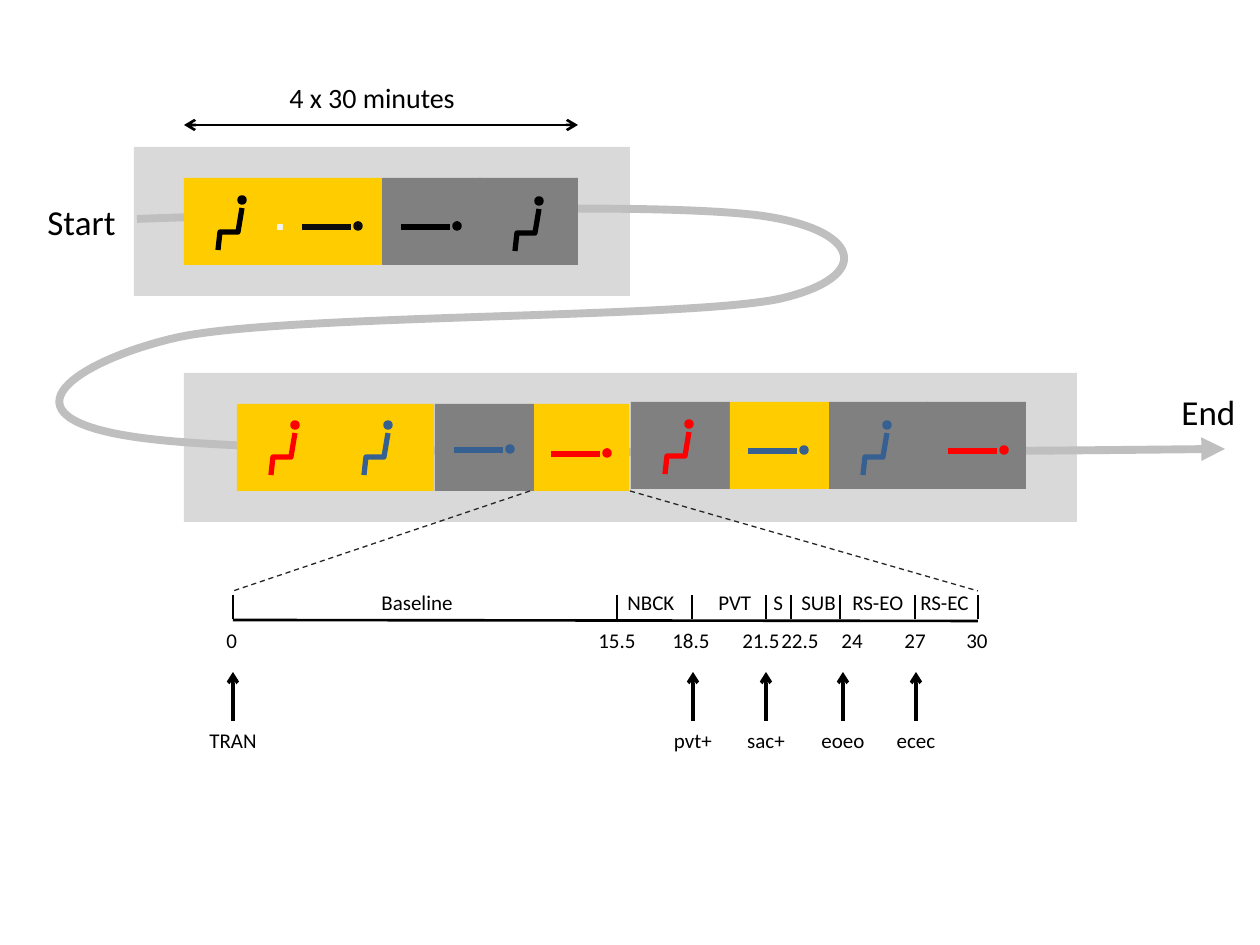
from lxml import etree
from pptx import Presentation
from pptx.dml.color import RGBColor
from pptx.enum.dml import MSO_LINE
from pptx.enum.shapes import MSO_CONNECTOR, MSO_SHAPE
from pptx.enum.text import MSO_AUTO_SIZE, PP_ALIGN
from pptx.oxml.ns import qn
from pptx.util import Pt

RECTANGLE, OVAL = MSO_SHAPE.RECTANGLE, MSO_SHAPE.OVAL
STRAIGHT = MSO_CONNECTOR.STRAIGHT
DASH = MSO_LINE.DASH
FIT_TEXT = MSO_AUTO_SIZE.SHAPE_TO_FIT_TEXT
CENTER = PP_ALIGN.CENTER

SCALE = 914400 / 126  # EMU per px
YELLOW, GRAY, PANEL, ROUTE = "FFCC00", "808080", "D9D9D9", "BFBFBF"
BLACK, SOFT_BLACK, RED, BLUE, PALE = "000000", "0D0D0D", "FF0000", "376092", "F2F2F2"


def emu(px):
    return round(px * SCALE)


def color(hex_string):
    return RGBColor.from_string(hex_string)


def add_arrowheads(line, head=None, tail=None):
    ln = line._get_or_add_ln()
    for tag, kind in (("a:headEnd", head), ("a:tailEnd", tail)):
        if kind:
            etree.SubElement(ln, qn(tag), type=kind)


class Diagram:
    font = "Calibri"
    block_width, block_height = 99, 87
    label_height = 38

    def __init__(self, slide):
        self.shapes = slide.shapes

    def shape(self, kind, left, top, width, height, fill, line_width=0, line_color=None):
        shape = self.shapes.add_shape(kind, emu(left), emu(top), emu(width), emu(height))
        shape.shadow.inherit = False
        shape.fill.solid()
        shape.fill.fore_color.rgb = color(fill)
        if line_width:
            shape.line.width = Pt(line_width)
            shape.line.color.rgb = color(line_color or fill)
        else:
            shape.line.fill.background()

    def line(self, start, end, width, stroke=BLACK, dash=None, head=None, tail=None):
        line = self.shapes.add_connector(STRAIGHT, *map(emu, start + end))
        line.line.width = Pt(width)
        line.line.color.rgb = color(stroke)
        if dash:
            line.line.dash_style = dash
        add_arrowheads(line.line, head, tail)
        etree.SubElement(line._element.spPr, qn("a:effectLst"))

    def outline(self, points, width, stroke):
        builder = self.shapes.build_freeform(*points[0], scale=SCALE)
        builder.add_line_segments(points[1:], close=False)
        shape = builder.convert_to_shape()
        shape.shadow.inherit = False
        shape.fill.background()
        shape.line.width = Pt(width)
        shape.line.color.rgb = color(stroke)
        return shape

    def curve(self, frame, start, segments, width, stroke, tail):
        """Draw cubic segments in a frame given as left, top, right, bottom."""
        left, top, right, bottom = frame
        shape = self.outline([(left, top), (right, bottom)], width, stroke)
        add_arrowheads(shape.line, tail=tail)
        route = next(shape._element.iter(qn("a:path")))
        for step in list(route):
            route.remove(step)
        steps = [("a:moveTo", [start])] + [("a:cubicBezTo", points) for points in segments]
        for tag, points in steps:
            step = etree.SubElement(route, qn(tag))
            for x, y in points:
                etree.SubElement(step, qn("a:pt"), x=str(x - left), y=str(y - top))

    def text(self, text, left, top, width, height=label_height, size=12, align=None, wrap=False):
        box = self.shapes.add_textbox(emu(left), emu(top), emu(width), emu(height))
        frame = box.text_frame
        frame.word_wrap = wrap
        frame.auto_size = FIT_TEXT
        para = frame.paragraphs[0]
        if align is not None:
            para.alignment = align
        span = para.add_run()
        span.text = text
        span.font.name = self.font
        span.font.size = Pt(size)
        span.font.color.rgb = color(BLACK)

    def head(self, left, top, fill, edge):
        self.shape(OVAL, left, top, 6, 6, fill, 2, edge)

    def sitting(self, x, y, stroke):
        body = [(x, y + 42), (x + 2, y + 24), (x + 20, y + 24), (x + 24, y)]
        self.outline(body, 3, stroke)
        self.head(x + 21, y - 11, stroke, stroke)

    def lying(self, x, y, stroke):
        self.line((x, y), (x + 49, y), 3, stroke)
        self.head(x + 53, y - 4, BLACK if stroke == SOFT_BLACK else stroke, stroke)

    def block(self, left, top, fill, pose, x, y, stroke):
        self.shape(RECTANGLE, left, top, self.block_width, self.block_height, fill)
        pose(x, y, stroke)


def main():
    deck = Presentation()
    deck.slide_width, deck.slide_height = emu(1260), emu(945)
    page = Diagram(deck.slides.add_slide(deck.slide_layouts[6]))
    sit, lie = page.sitting, page.lying

    # Panels and the route that joins them
    page.shape(RECTANGLE, 134, 147, 496, 149, PANEL)
    page.shape(RECTANGLE, 184, 373, 893, 149, PANEL)
    page.curve((59, 209, 1225, 451), (137, 219), [
        [(392, 210), (648, 203), (755, 215)],
        [(862, 228), (876, 277), (779, 299)],
        [(682, 319), (278, 314), (175, 338)],
        [(72, 362), (-16, 422), (159, 440)],
        [(334, 459), (1225, 449), (1225, 449)],
    ], 4.5, ROUTE, "triangle")

    # First session
    page.block(184, 178, YELLOW, sit, 218, 208, BLACK)
    page.line((277, 227), (326, 227), 3, PALE)
    page.block(479, 178, GRAY, sit, 515, 209, BLACK)
    page.block(382, 178, GRAY, lie, 401, 227, BLACK)
    page.block(283, 178, YELLOW, lie, 302, 227, SOFT_BLACK)

    # Second session
    for block in (
        (237, 404, YELLOW, sit, 271, 433, RED),
        (530, 404, YELLOW, lie, 551, 454, RED),
        (435, 404, GRAY, lie, 454, 450, BLUE),
        (335, 404, YELLOW, sit, 364, 433, BLUE),
        (631, 402, GRAY, sit, 665, 432, RED),
        (829, 402, GRAY, sit, 863, 433, BLUE),
        (927, 402, GRAY, lie, 948, 451, RED),
        (730, 402, YELLOW, lie, 748, 451, BLUE),
    ):
        page.block(*block)

    # Duration, start and end
    page.line((184, 125), (578, 125), 1.5, head="arrow", tail="arrow")
    page.text("4 x 30 minutes", 277, 74, 193, 47, size=16)
    page.text("Start", 35, 194, 95, 55, size=20)
    page.text("End", 1169, 384, 79, 55, size=20)

    # Zoom from one block to its timeline
    page.line((530, 491), (233, 591), 0.75, "262626", DASH)
    page.line((630, 491), (978, 591), 0.75, "262626", DASH)
    page.line((233, 620), (978, 621), 1.5)

    # Ticks with their minutes: tick, minute, label left, label width
    for tick, minute, left, width in (
        (233, "0", 214, 37), (617, "15.5", 586, 63), (692, "18.5", 660, 63),
        (766, "21.5", 730, 63), (791, "22.5", 769, 63), (840, "24", 829, 47),
        (915, "27", 892, 47), (978, "30", 954, 47),
    ):
        page.line((tick, 619), (tick, 595), 0.75)
        page.text(minute, left, 621, width)

    # Phases
    for phase, left, width in (
        ("Baseline", 369, 97), ("NBCK", 615, 73), ("PVT", 706, 59), ("S", 761, 35),
        ("SUB", 789, 60), ("RS-EO", 840, 78), ("RS-EC", 908, 74),
    ):
        page.text(phase, left, 583, width)

    # Event markers
    for event, x in (("TRAN", 233), ("pvt+", 693), ("sac+", 766), ("eoeo", 843), ("ecec", 916)):
        page.line((x, 721), (x, 672), 2, tail="arrow")
        page.text(event, x - 50, 721, 100, align=CENTER, wrap=True)

    deck.save("out.pptx")


if __name__ == "__main__":
    main()
